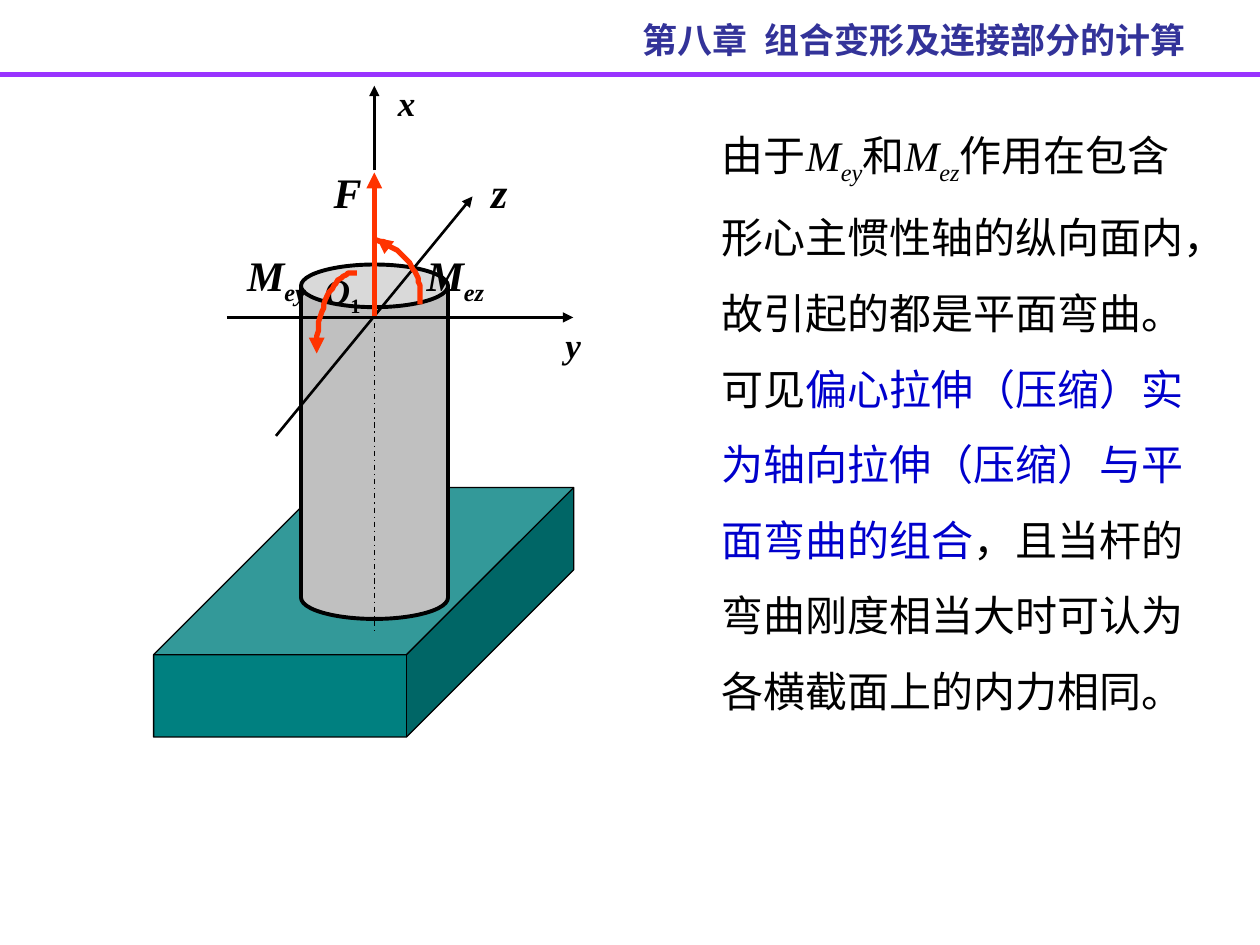
from lxml import etree
from pptx import Presentation
from pptx import util as u
from pptx.dml.color import RGBColor
from pptx.enum import dml, shapes, text
from pptx.oxml import ns

BLACK = RGBColor(0x00, 0x00, 0x00)
RED = RGBColor(0xFF, 0x33, 0x00)
BLUE = RGBColor(0x00, 0x00, 0xCC)
NAVY = RGBColor(0x33, 0x33, 0x99)
PURPLE = RGBColor(0x99, 0x33, 0xFF)
TEAL = RGBColor(0x00, 0x80, 0x80)
GREY = RGBColor(0xC0, 0xC0, 0xC0)

SERIF = "Times New Roman"
SANS = "Noto Sans CJK SC"

HAN = {"name": SANS}
KEY = {"name": SANS, "color": BLUE}
SYMBOL = {"italic": True}
SUB = {"italic": True, "sub": True}
LABEL = {"bold": True, "italic": True}
LABEL_SUB = {"bold": True, "italic": True, "sub": True}
DIGIT_SUB = {"bold": True, "sub": True}


def child(parent, tag, **attributes):
    return etree.SubElement(parent, ns.qn(tag), **attributes)


def bezier(start, control_1, control_2, end, steps=24):
    """Return points along a cubic curve."""
    points = []
    for step in range(steps + 1):
        t = step / steps
        weights = ((1 - t) ** 3, 3 * t * (1 - t) ** 2, 3 * t * t * (1 - t), t ** 3)
        points.append(tuple(
            sum(w * value for w, value in zip(weights, values))
            for values in zip(start, control_1, control_2, end)))
    return points


class Painter:
    def __init__(self, page):
        self.page = page

    def outline(self, line, color, width, arrow=False, dash=None):
        line.color.rgb = color
        line.width = u.Pt(width)
        if dash:
            line.dash_style = dash
        if arrow:
            child(line._get_or_add_ln(), "a:tailEnd", type="triangle")

    def line(self, start, end, color=BLACK, width=1.5, **style):
        connector = self.page.shapes.add_connector(
            shapes.MSO_CONNECTOR.STRAIGHT, *map(u.Pt, start + end))
        self.outline(connector.line, color, width, **style)
        child(connector._element.spPr, "a:effectLst")

    def solid(self, kind, place, adjustment, fill, width):
        shape = self.page.shapes.add_shape(kind, *map(u.Pt, place))
        shape.adjustments[0] = adjustment
        shape.shadow.inherit = False
        shape.fill.solid()
        shape.fill.fore_color.rgb = fill
        self.outline(shape.line, BLACK, width)

    def arc(self, *controls, arrow=False):
        points = bezier(*controls)
        builder = self.page.shapes.build_freeform(*points[0], scale=u.Pt(1))
        builder.add_line_segments(points[1:], close=False)
        shape = builder.convert_to_shape()
        shape.shadow.inherit = False
        shape.fill.background()
        self.outline(shape.line, RED, 3, arrow=arrow)

    def text(self, place, size, spans, align=text.PP_ALIGN.LEFT, spacing=None, tab=None):
        """Write one paragraph made of (words, format) spans."""
        box = self.page.shapes.add_textbox(*map(u.Pt, place))
        box.text_frame.word_wrap = True
        para = box.text_frame.paragraphs[0]
        para.alignment = align
        para.space_before = u.Pt(0)
        para.line_spacing = spacing
        if tab:
            stops = child(para._p.get_or_add_pPr(), "a:tabLst")
            child(stops, "a:tab", pos=str(u.Pt(tab)), algn="l")
        for words, style in spans:
            span = para.add_run()
            span.text = words
            values = {"name": SERIF, "size": u.Pt(size), "bold": False,
                      "italic": False, **style}
            span.font.color.rgb = values.pop("color", BLACK)
            if values.pop("sub", False):
                span.font._element.set("baseline", "-25000")
            for name, value in values.items():
                setattr(span.font, name, value)
            child(span.font._element, "a:ea", typeface=SANS)


def draw_header(painter):
    painter.line((0, 42.5), (720, 42.5), PURPLE, 3)
    painter.text((360, 7.2, 352, 31.7), 20,
                 [("第八章\t组合变形及连接部分的计算", {"bold": True, "color": NAVY})],
                 tab=70)


def draw_explanation(painter):
    painter.text((405.4, 54, 289.4, 402.5), 24, [
        ("由于", HAN), ("M", SYMBOL), ("ey", SUB),
        ("和", HAN), ("M", SYMBOL), ("ez", SUB),
        ("作用在包含形心主惯性轴的纵向面内，故引起的都是平面弯曲。可见", HAN),
        ("偏心拉伸（压缩）实为轴向拉伸（压缩）与平面弯曲的组合", KEY),
        ("，且当杆的弯曲刚度相当大时可认为各横截面上的内力相同。", HAN),
    ], spacing=1.5)


def draw_column(painter):
    axis, origin = 213.9, 181.4
    center = text.PP_ALIGN.CENTER
    painter.solid(shapes.MSO_SHAPE.CUBE, (87.8, 278.6, 240, 142.6), 0.67, TEAL, 0.75)
    painter.solid(shapes.MSO_SHAPE.CAN, (172, 151.2, 84, 202.5), 0.29, GREY, 2.25)
    painter.line((157.7, 249.1), (270, 112.3), arrow=True)
    painter.line((axis, 136), (axis, 361.4), width=0.75, dash=dml.MSO_LINE.DASH_DOT)
    painter.text((316, 181.4, 48, 31.7), 20, [("y", LABEL)])
    painter.text((273.6, 91.4, 36, 36), 24, [("z", LABEL)])
    painter.text((178.6, 150.5, 41.8, 34.6), 20, [("O", LABEL), ("1", DIGIT_SUB)])
    painter.text((183.6, 91.4, 41.8, 36), 24, [("F", LABEL)])
    painter.line((axis, origin), (axis, 98.6), RED, 3, arrow=True)
    painter.arc((214.6, 136.8), (232.6, 142.6), (243.4, 159.1), (239.8, 174.2))
    painter.line((221, 140.4), (215.3, 136), RED, 3, arrow=True)
    painter.line((axis, 97.2), (axis, 49), arrow=True)
    painter.text((220.3, 43.2, 59.8, 31.7), 20, [("x", LABEL)])
    for left, index in ((129.6, "ey"), (231.8, "ez")):
        painter.text((left, 139, 56.9, 40.3), 24,
                     [("M", LABEL), (index, LABEL_SUB)], align=center)
    painter.line((129.6, origin), (327.6, origin), arrow=True)
    painter.arc((203.8, 155.5), (190.8, 155.5), (180.7, 176.4), (180.7, 201.6), arrow=True)


def main():
    deck = Presentation()
    deck.slide_width, deck.slide_height = u.Pt(720), u.Pt(540)
    painter = Painter(deck.slides.add_slide(deck.slide_layouts[6]))
    draw_header(painter)
    draw_explanation(painter)
    draw_column(painter)
    deck.save("out.pptx")


if __name__ == "__main__":
    main()
